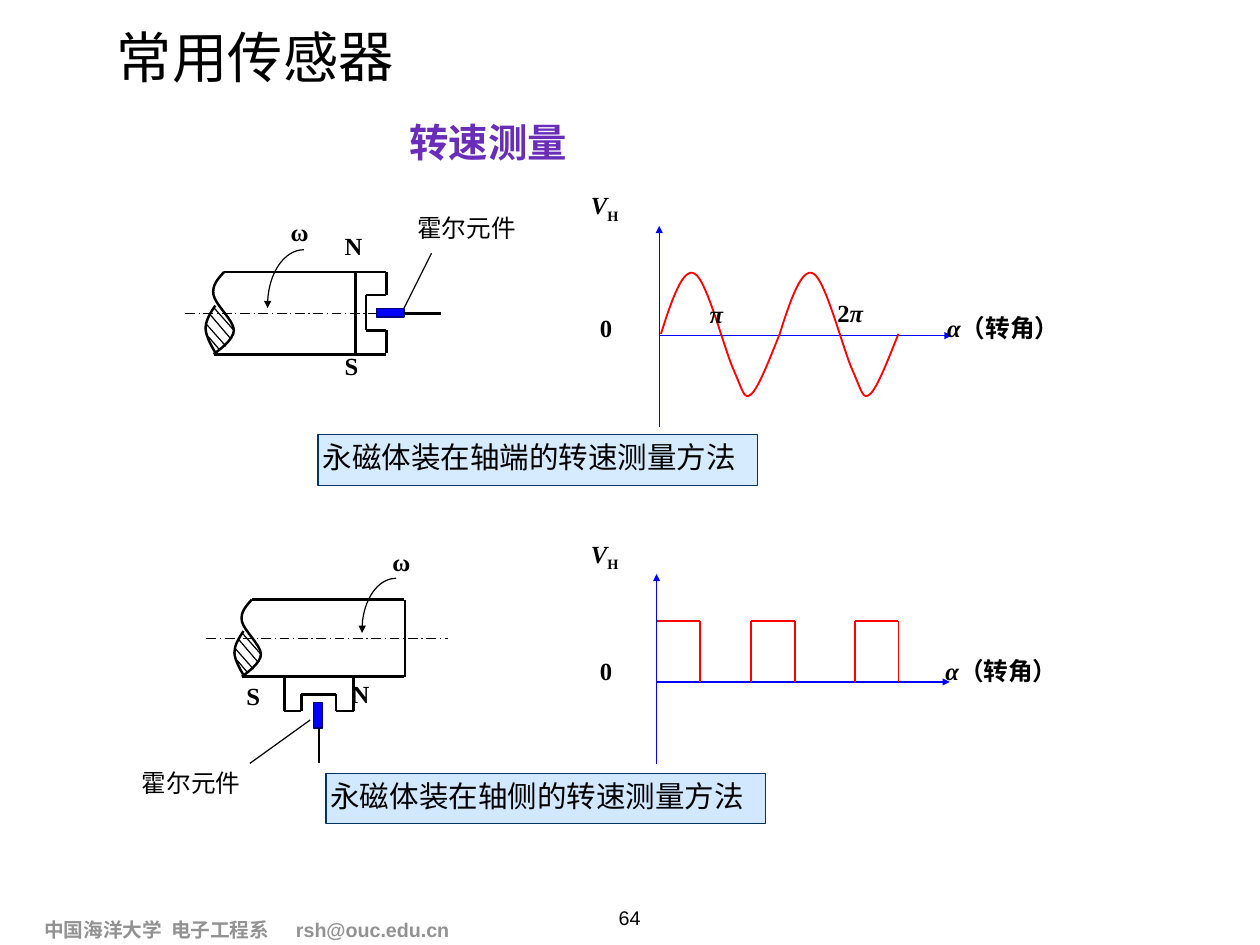
from dataclasses import dataclass
from itertools import pairwise

from lxml.etree import SubElement
from pptx import Presentation
from pptx.dml.color import RGBColor
from pptx.enum.dml import MSO_LINE
from pptx.enum.shapes import MSO_CONNECTOR, MSO_SHAPE
from pptx.enum.text import MSO_ANCHOR, PP_ALIGN
from pptx.oxml.ns import qn
from pptx.util import Pt

PX = 9144  # one hundredth of an inch

@dataclass(frozen=True)
class Theme:
    ink: str = "000000"
    blue: str = "0000FF"
    signal: str = "FF0000"
    sensor_edge: str = "000080"
    caption: str = "99CCFF"
    caption_edge: str = "003366"
    heading: str = "692DB9"
    footer: str = "929292"
    cjk: str = "Noto Sans CJK SC"
    serif: str = "Times New Roman"
    sans: str = "Arial"
    title_size: int = 45
    heading_size: int = 32
    caption_size: int = 24
    label_size: int = 20
    footer_size: int = 16

THEME = Theme()

@dataclass(frozen=True)
class Box:
    left: int
    top: int
    width: int
    height: int

    def inside(self, x, y, width=0, height=0):
        return Box(self.left + x, self.top + y, width, height)

    def points(self, *offsets, unit=1):
        return [(round((self.left + x * unit) * PX), round((self.top + y * unit) * PX)) for x, y in offsets]

    def emu(self):
        return [side * PX for side in (self.left, self.top, self.width, self.height)]

def add_run(paragraph, text, font=THEME.serif, size=THEME.label_size, color=THEME.ink,
            bold=False, italic=False, baseline=0):
    run = paragraph.add_run()
    run.text = text
    run.font.name, run.font.size = font, Pt(size)
    run.font.bold, run.font.italic = bold, italic
    run.font.color.rgb = RGBColor.from_string(color)
    properties = run._r.get_or_add_rPr()
    SubElement(properties, qn("a:ea"), typeface=THEME.cjk)
    if baseline:
        properties.set("baseline", str(baseline * 1000))

def add_text(slide, box, text, shape=None, inset=5, wrap=True, align=PP_ALIGN.LEFT,
             anchor=MSO_ANCHOR.TOP, **run_format):
    """Write into the given shape, or into a new text box; return the paragraph."""
    frame = (shape or slide.shapes.add_textbox(*box.emu())).text_frame
    frame.word_wrap, frame.vertical_anchor = wrap, anchor
    frame.margin_left = frame.margin_right = frame.margin_top = frame.margin_bottom = inset * PX
    paragraph = frame.paragraphs[0]
    paragraph.alignment = align
    add_run(paragraph, text, **run_format)
    return paragraph

def style_line(line, color, weight, arrow=False):
    line.color.rgb = RGBColor.from_string(color)
    line.width = Pt(weight)
    if arrow:
        SubElement(line._get_or_add_ln(), qn("a:tailEnd"), type="triangle")

def add_lines(slide, points, color=THEME.ink, weight=1, arrow=False, dash=None):
    """Join each point to the next with a straight connector."""
    for start, end in pairwise(points):
        connector = slide.shapes.add_connector(MSO_CONNECTOR.STRAIGHT, *start, *end)
        connector.line.dash_style = dash
        style_line(connector.line, color, weight, arrow)
        SubElement(connector.element.spPr, qn("a:effectLst"))

def point_on_curve(controls, t):
    weights = ((1 - t) ** 3, 3 * t * (1 - t) ** 2, 3 * t * t * (1 - t), t ** 3)
    return tuple(round(sum(w * value for w, value in zip(weights, axis))) for axis in zip(*controls))

def add_curve(slide, points, color=THEME.ink, weight=2, arrow=False):
    """Draw joined cubic Bézier segments in a shape that fits the curve tightly."""
    segments = [points[first:first + 4] for first in range(0, len(points) - 1, 3)]
    builder = slide.shapes.build_freeform(*points[0], scale=1.0)
    builder.add_line_segments([point_on_curve(segment, step / 12) for segment in segments
                               for step in range(1, 13)], close=False)
    shape = builder.convert_to_shape()
    outline = next(shape.element.iter(qn("a:path")))
    for straight in outline.findall(qn("a:lnTo")):
        outline.remove(straight)
    for segment in segments:
        curve = SubElement(outline, qn("a:cubicBezTo"))
        for x, y in segment[1:]:
            SubElement(curve, qn("a:pt"), x=str(x - shape.left), y=str(y - shape.top))
    shape.shadow.inherit = False
    shape.fill.background()
    style_line(shape.line, color, weight, arrow)

def add_rectangle(slide, box, fill, edge):
    shape = slide.shapes.add_shape(MSO_SHAPE.RECTANGLE, *box.emu())
    shape.shadow.inherit = False
    shape.fill.solid()
    shape.fill.fore_color.rgb = RGBColor.from_string(fill)
    style_line(shape.line, edge, 1)
    return shape

def draw_caption(slide, box, text, opacity):
    shape = add_rectangle(slide, box, THEME.caption, THEME.caption_edge)
    color = shape.element.spPr.find(qn("a:solidFill")).find(qn("a:srgbClr"))
    SubElement(color, qn("a:alpha"), val=str(opacity * 1000))
    add_text(slide, box, text, shape, font=THEME.cjk, size=THEME.caption_size)

def draw_shaft(slide, box, center_line, turn_start):
    """Broken shaft with its hatched section, center line and rotation arrow."""
    unit = box.height / 93
    add_curve(slide, box.points((12, 0), (5, 8), (-2, 15), (0, 26), (2, 37), (23, 55), (23, 66),
                                (23, 77), (4, 90), (0, 93), unit=unit))
    add_curve(slide, box.points((2, 38), (-4, 47), (-9, 55), (-9, 64), (-9, 73), (0, 88), (2, 91), unit=unit))
    for weight, start, end in ((2, (12, 0), (195, 0)), (2, (0, 93), (195, 93)),
                               (1, (0, 40), (23, 66)), (1, (-9, 58), (14, 84)),
                               (1, (-4, 48), (19, 75)), (1, (-6, 73), (6, 87))):
        add_lines(slide, box.points(start, end, unit=unit), weight=weight)
    add_lines(slide, box.points(*center_line), dash=MSO_LINE.LONG_DASH_DOT)
    add_curve(slide, box.inside(*turn_start).points((0, 0), (-22, 0), (-41, 28), (-41, 62), (-41, 63),
                                                    (-41, 65), (-41, 66), unit=unit), weight=1, arrow=True)

def draw_sensor(slide, box, body, lead, pointer, name_at, labels):
    add_rectangle(slide, box.inside(*body), THEME.blue, THEME.sensor_edge)
    add_lines(slide, box.points(*lead), weight=2)
    add_lines(slide, box.points(*pointer))
    add_text(slide, box.inside(*name_at, 170, 62), "霍尔元件", font=THEME.cjk)
    for text, place in labels.items():
        add_text(slide, box.inside(*place, 60, 52), text, bold=True)

def draw_end_magnet(slide, box):
    draw_shaft(slide, box, [(-32, 47), (257, 47)], (102, -25))
    add_lines(slide, box.points((160, 0), (160, 93)), weight=2)
    add_lines(slide, box.points((195, 0), (195, 26), (172, 26), (172, 66), (195, 66), (195, 92)), weight=2)
    draw_sensor(slide, box, (184, 41, 31, 10), [(215, 47), (257, 47)], [(215, 41), (246, -21)],
                (225, -72), {"N": (143, -51), "S": (143, 84), "ω": (82, -67)})

def draw_side_magnet(slide, box):
    draw_shaft(slide, box, [(-40, 44), (233, 44)], (174, -24))
    add_lines(slide, box.points((184, 0), (184, 87)), weight=2)
    add_lines(slide, box.points((48, 87), (48, 126), (67, 126), (67, 107), (106, 107),
                                (106, 126), (126, 126), (126, 87)), weight=2)
    draw_sensor(slide, box, (81, 116, 10, 29), [(87, 145), (87, 184)], [(77, 136), (9, 185)],
                (-118, 185), {"N": (119, 85), "S": (0, 87), "ω": (165, -64)})

def draw_axes(slide, box, zero, gap, rise):
    """Axes crossing at height zero; gap and rise place the labels."""
    add_lines(slide, box.points((0, box.height), (0, 0)), THEME.blue, arrow=True)
    add_lines(slide, box.points((0, zero), (box.width, zero)), THEME.blue, arrow=True)
    angle = add_text(slide, box.inside(box.width - 10, zero - rise, 210, 62), "α", bold=True, italic=True)
    add_run(angle, "（转角）", bold=True)
    voltage = add_text(slide, box.inside(-gap - 10, -45, 90, 58), "V", bold=True, italic=True)
    add_run(voltage, "H", bold=True, baseline=-25)
    add_text(slide, box.inside(-gap, zero - rise, 90, 52), "0", bold=True)

def draw_sine(slide, box, zero=124, period=134):
    draw_axes(slide, box, zero, gap=72, rise=31)
    for cycle in range(2):
        start = box.inside(2 + cycle * period, zero - 2)
        add_curve(slide, start.points((0, 0), (12, -38), (25, -76), (38, -68), (52, -61), (72, 20), (83, 43),
                                      (93, 66), (94, 75), (102, 68), (110, 61), (122, 30), (period, 0)),
                  THEME.signal, 1.5)
    add_text(slide, box.inside(52, 78, 62, 53), "π", bold=True, italic=True)
    add_run(add_text(slide, box.inside(196, 77, 93, 53), "2", bold=True), "π", bold=True, italic=True)

def draw_pulses(slide, box, zero=122, high=53, pulse=49):
    draw_axes(slide, box, zero, gap=69, rise=34)
    for start in (0, 107, 224):
        corners = [(start, zero), (start, high), (start + pulse, high), (start + pulse, zero)]
        add_lines(slide, box.points(*corners[0 if start else 1:]), THEME.signal, 1.5)

def draw_headings(slide, box):
    add_text(slide, box.inside(45, 3, 486, 120), "常用传感器", inset=6, align=PP_ALIGN.CENTER,
             anchor=MSO_ANCHOR.MIDDLE, font=THEME.cjk, size=THEME.title_size)
    slide.shapes[-1].rotation = 359.6
    add_text(slide, box.inside(457, 129, 299, 73), "转速测量", font=THEME.cjk,
             size=THEME.heading_size, color=THEME.heading, bold=True)

def draw_footer(slide, box):
    paragraph = add_text(slide, box.inside(44, 14, 499, 38), "中国海洋大学\t电子工程系\trsh@ouc.edu.cn", inset=6,
                         anchor=MSO_ANCHOR.MIDDLE, font=THEME.sans, size=THEME.footer_size,
                         color=THEME.footer, bold=True)
    tabs = SubElement(paragraph._p.get_or_add_pPr(), qn("a:tabLst"))
    for position in (143, 284):
        SubElement(tabs, qn("a:tab"), pos=str(position * PX), algn="l")
    add_text(slide, box.inside(692, 0, 37, 35), "64", inset=6, wrap=False, align=PP_ALIGN.CENTER,
             font=THEME.sans, size=THEME.footer_size)

def main():
    presentation = Presentation()
    presentation.slide_width, presentation.slide_height = 1422 * PX, 1067 * PX
    slide = presentation.slides.add_slide(presentation.slide_layouts[6])
    draw_headings(slide, Box(0, 0, 1422, 202))
    draw_end_magnet(slide, Box(241, 307, 195, 93))
    draw_sine(slide, Box(744, 255, 330, 227))
    draw_caption(slide, Box(359, 491, 496, 57), "永磁体装在轴端的转速测量方法", opacity=39)
    draw_side_magnet(slide, Box(273, 677, 184, 87))
    draw_pulses(slide, Box(741, 648, 331, 215))
    draw_caption(slide, Box(368, 873, 496, 57), "永磁体装在轴侧的转速测量方法", opacity=44)
    draw_footer(slide, Box(0, 1017, 1422, 50))
    presentation.save("out.pptx")

if __name__ == "__main__":
    main()
